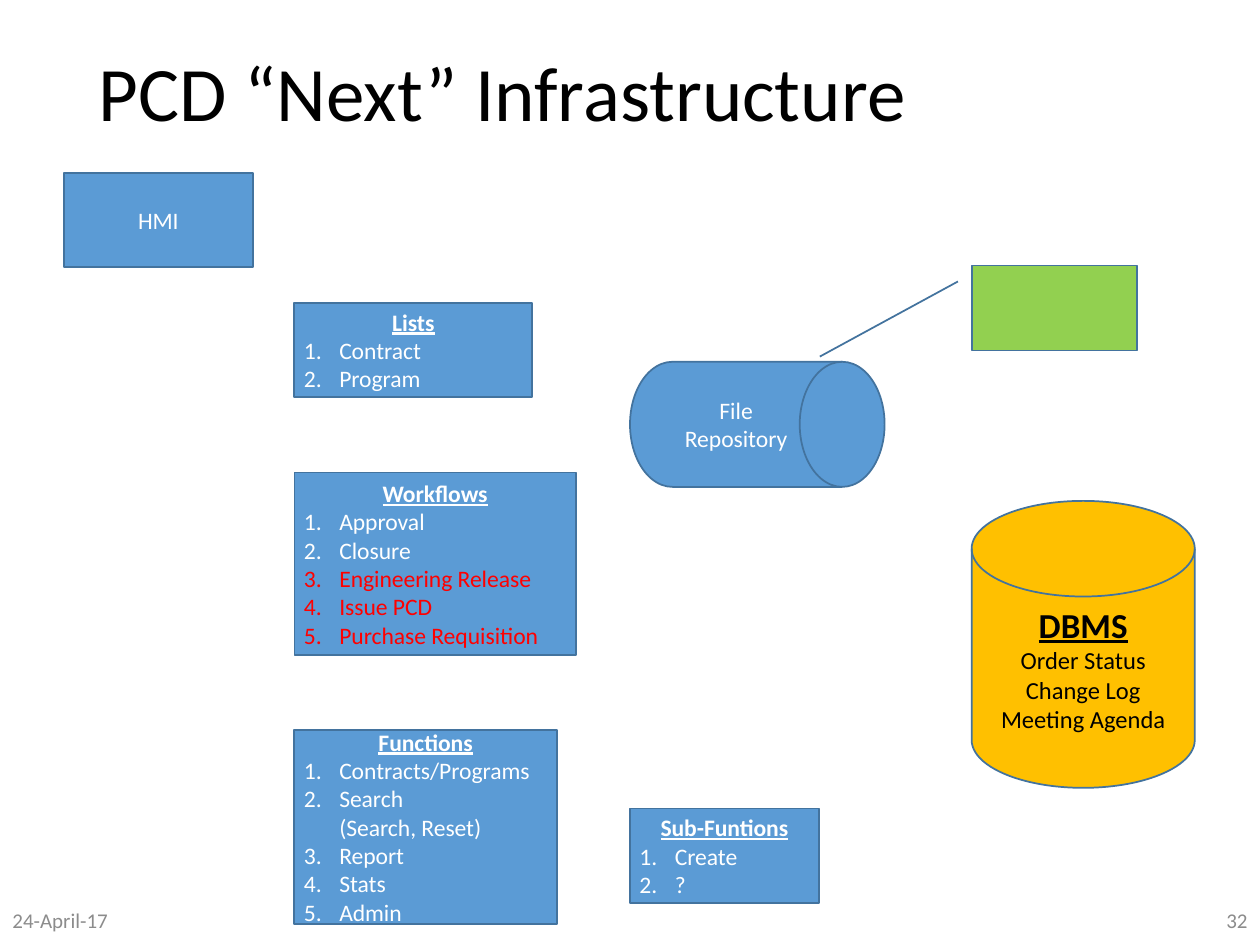
from dataclasses import dataclass

from lxml.etree import SubElement
from pptx import Presentation
from pptx.dml.color import RGBColor
from pptx.enum.shapes import MSO_SHAPE
from pptx.enum.text import MSO_ANCHOR, PP_ALIGN
from pptx.oxml.ns import qn
from pptx.util import Pt


@dataclass(frozen=True)
class Theme:
    font: str = "Calibri"
    blue: str = "5B9BD5"
    outline: str = "43739E"
    green: str = "92D050"
    amber: str = "FFC000"
    white: str = "FFFFFF"
    black: str = "000000"
    red: str = "FF0000"
    gray: str = "8C8C8C"
    title_size: float = 44
    heading_size: float = 20
    detail_size: float = 14
    body_size: float = 13.5
    footer_size: float = 12


theme = Theme()
presentation = Presentation()
presentation.slide_width, presentation.slide_height = Pt(720), Pt(540)
slide = presentation.slides.add_slide(presentation.slide_layouts[6])


def add_block(kind, position, fill):
    shape = slide.shapes.add_shape(kind, *map(Pt, position))
    shape.shadow.inherit = False
    shape.fill.solid()
    shape.fill.fore_color.rgb = RGBColor.from_string(fill)
    shape.line.color.rgb = RGBColor.from_string(theme.outline)
    shape.line.width = Pt(1)
    text_frame = shape.text_frame
    text_frame.word_wrap = True
    text_frame.vertical_anchor = MSO_ANCHOR.MIDDLE
    if fill == theme.blue:
        text_frame.margin_left = text_frame.margin_right = Pt(5.4)
        text_frame.margin_top = text_frame.margin_bottom = Pt(2.7)
    return shape


def format_paragraph(paragraph, size, color, align=PP_ALIGN.CENTER, heading=False):
    paragraph.alignment = align
    for run in paragraph.runs:
        run.font.name = theme.font
        run.font.size = Pt(size)
        run.font.color.rgb = RGBColor.from_string(color)
        run.font.bold = run.font.underline = heading


# Title and footer
text_boxes = [
    ("PCD “Next” Infrastructure", (49.5, 24, 621, 62.5), theme.title_size, theme.black, PP_ALIGN.LEFT),
    ("24-April-17", (0, 511, 162, 29), theme.footer_size, theme.gray, PP_ALIGN.LEFT),
    ("32", (558, 511, 162, 29), theme.footer_size, theme.gray, PP_ALIGN.RIGHT),
]
for text, position, size, color, align in text_boxes:
    text_frame = slide.shapes.add_textbox(*map(Pt, position)).text_frame
    text_frame.word_wrap = True
    text_frame.vertical_anchor = MSO_ANCHOR.MIDDLE
    text_frame.text = text
    format_paragraph(text_frame.paragraphs[0], size, color, align)
    if size == theme.title_size:
        text_frame.paragraphs[0].line_spacing = 0.9

# Interface and file storage
labels = [
    ("HMI", MSO_SHAPE.RECTANGLE, (36.5, 98.75, 108, 54)),
    ("File Repository", MSO_SHAPE.FLOWCHART_DIRECT_ACCESS_STORAGE, (360, 206.75, 145.5, 71.5)),
]
for text, kind, position in labels:
    shape = add_block(kind, position, theme.blue)
    shape.text_frame.text = text
    format_paragraph(shape.text_frame.paragraphs[0], theme.body_size, theme.white)

# Numbered lists
new_workflows = {"Engineering Release", "Issue PCD", "Purchase Requisition"}
numbered_lists = [
    ("Lists", (168.25, 173, 136, 54), ["Contract", "Program"]),
    ("Workflows", (168.25, 270, 160.75, 104.5),
     ["Approval", "Closure", "Engineering Release", "Issue PCD", "Purchase Requisition"]),
    ("Functions", (168.25, 417, 150, 111),
     ["Contracts/Programs", "Search\v(Search, Reset)", "Report", "Stats", "Admin"]),
    ("Sub-Funtions", (360, 462, 108, 54), ["Create", "?"]),
]
for heading, position, items in numbered_lists:
    text_frame = add_block(MSO_SHAPE.RECTANGLE, position, theme.blue).text_frame
    text_frame.text = heading
    format_paragraph(text_frame.paragraphs[0], theme.body_size, theme.white, heading=True)
    for item in items:
        paragraph = text_frame.add_paragraph()
        paragraph.text = item
        color = theme.red if item in new_workflows else theme.white
        format_paragraph(paragraph, theme.body_size, color, PP_ALIGN.LEFT)
        properties = paragraph._p.get_or_add_pPr()
        properties.set("marL", str(Pt(20.25)))
        properties.set("indent", str(-Pt(20.25)))
        SubElement(properties, qn("a:buFont"), typeface="+mj-lt")
        SubElement(properties, qn("a:buAutoNum"), type="arabicPeriod")

# Callout pointing at the file repository
callout = add_block(MSO_SHAPE.LINE_CALLOUT_1, (555.25, 151.75, 94.5, 48.5), theme.green)
for index, value in enumerate((0.188, -0.083, 1.073, -0.918)):
    callout.adjustments[index] = value

# Database
database = add_block(MSO_SHAPE.FLOWCHART_MAGNETIC_DISK, (555.25, 286.25, 127.5, 164), theme.amber)
database.text_frame.text = "DBMS\nOrder Status\nChange Log\nMeeting Agenda"
name, *contents = database.text_frame.paragraphs
format_paragraph(name, theme.heading_size, theme.black, heading=True)
for paragraph in contents:
    format_paragraph(paragraph, theme.detail_size, theme.black)

presentation.save("out.pptx")
